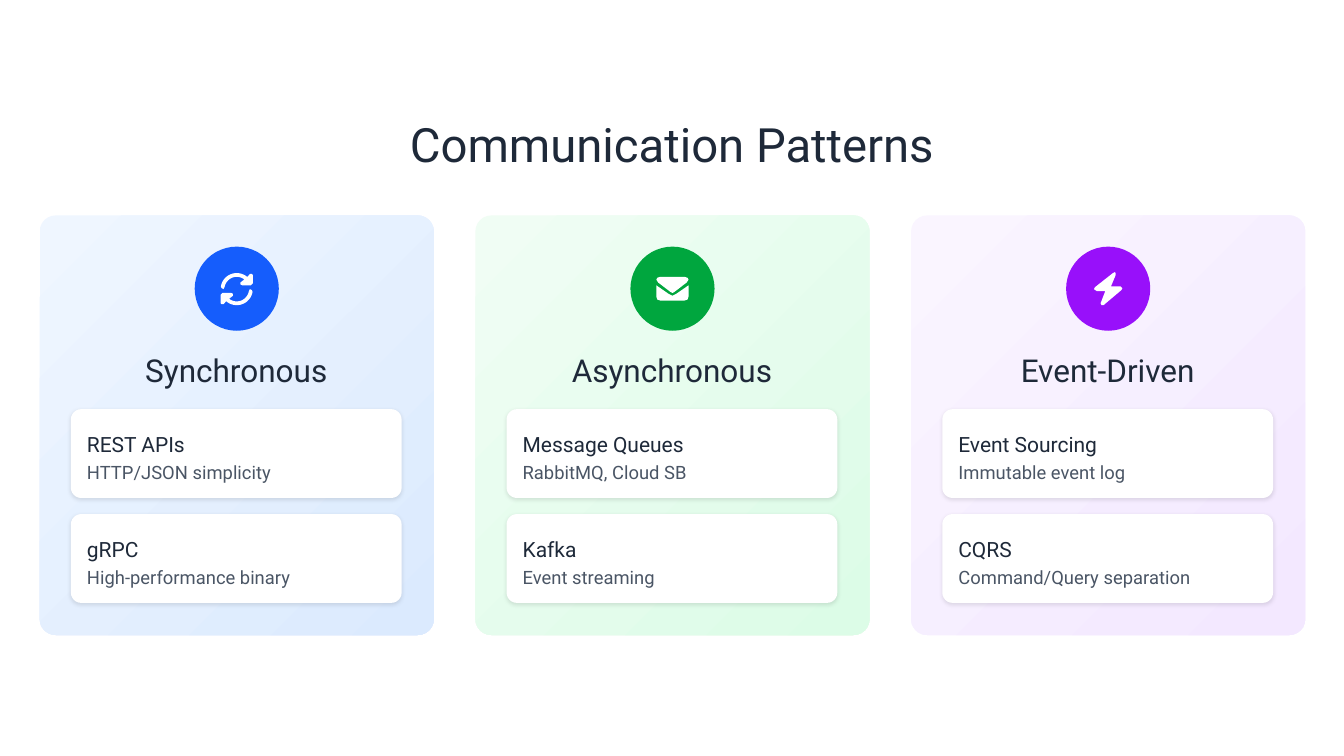
from dataclasses import dataclass
from math import cos, radians, sin

from lxml.etree import SubElement
from pptx import Presentation
from pptx.dml.color import RGBColor
from pptx.enum.shapes import MSO_SHAPE
from pptx.enum.text import MSO_ANCHOR, PP_ALIGN
from pptx.oxml.ns import qn
from pptx.util import Inches, Pt


@dataclass(frozen=True)
class Theme:
    font: str = "Roboto"
    ink: str = "1E2939"
    muted: str = "4A5565"
    white: str = "FFFFFF"
    shadow: str = "000000"
    title_size: int = 36
    heading_size: int = 24
    name_size: int = 16
    detail_size: int = 14


class PatternSlide:
    """Draws styled elements on the current slide."""

    def __init__(self, slide, theme):
        self.slide = slide
        self.theme = theme

    def text(self, words, left, top, width, height, size, color, spacing, align=PP_ALIGN.LEFT):
        box = self.slide.shapes.add_textbox(Inches(left), Inches(top), Inches(width), Inches(height))
        frame = box.text_frame
        frame.word_wrap = True
        frame.vertical_anchor = MSO_ANCHOR.MIDDLE
        frame.margin_left = frame.margin_right = frame.margin_top = frame.margin_bottom = 0
        paragraph = frame.paragraphs[0]
        paragraph.text = words
        paragraph.alignment = align
        paragraph.line_spacing = spacing
        paragraph.font.name = self.theme.font
        paragraph.font.size = Pt(size)
        paragraph.font.color.rgb = RGBColor.from_string(color)

    def finish(self, shape, color):
        shape.fill.solid()
        shape.fill.fore_color.rgb = RGBColor.from_string(color)
        shape.line.fill.background()
        shape.shadow.inherit = False

    def shape(self, kind, left, top, width, height, color, radius=None):
        shape = self.slide.shapes.add_shape(kind, Inches(left), Inches(top), Inches(width), Inches(height))
        if radius:
            shape.adjustments[0] = radius / min(width, height)
        self.finish(shape, color)
        return shape

    def panel(self, left, top, width, height, colors):
        panel = self.shape(MSO_SHAPE.ROUNDED_RECTANGLE, left, top, width, height, colors[0], 0.17)
        panel.fill.gradient()
        panel.fill.gradient_angle = 315
        for stop, color in zip(panel.fill.gradient_stops, colors):
            stop.color.rgb = RGBColor.from_string(color)

    def card(self, left, top, name, detail):
        theme = self.theme
        card = self.shape(MSO_SHAPE.ROUNDED_RECTANGLE, left, top, 3.5, 0.94, theme.white, 0.11)
        effects = card._element.spPr.find(qn("a:effectLst"))
        shadow = SubElement(effects, qn("a:outerShdw"), blurRad=str(Pt(3)), dist=str(Pt(1)),
                            dir="5400000", algn="ctr", rotWithShape="0")
        color = SubElement(shadow, qn("a:srgbClr"), val=theme.shadow)
        SubElement(color, qn("a:alpha"), val="10000")
        self.text(name, left + 0.17, top + 0.17, 3.72, 0.33, theme.name_size, theme.ink, 1.3)
        self.text(detail, left + 0.17, top + 0.5, 3.72, 0.28, theme.detail_size, theme.muted, 1.2)

    def icon(self, center_x, center_y, contours):
        placed = [[(Inches(center_x + x), Inches(center_y + y)) for x, y in contour]
                  for contour in contours]
        builder = self.slide.shapes.build_freeform(*placed[0][0])
        for contour in placed:
            builder.move_to(*contour[0])
            builder.add_line_segments(contour[1:], close=True)
        self.finish(builder.convert_to_shape(), self.theme.white)


def arc(radius, start, end, steps=16):
    angles = [radians(start + (end - start) * step / steps) for step in range(steps + 1)]
    return [(radius * cos(angle), radius * sin(angle)) for angle in angles]


def mirrored(half):
    return half + [(-x, y) for x, y in reversed(half) if x]


def refresh_icon():
    arrow = [(0.14, -0.16), (0.16, -0.16), (0.17, -0.15), (0.17, -0.06), (0.15, -0.04),
             (0.06, -0.04), (0.04, -0.05), (0.04, -0.07)]
    upper = arc(0.17, 190, 311) + arrow + arc(0.13, 308, 190) + [(-0.14, 0), (-0.16, -0.01)]
    return [upper, [(-x, -y) for x, y in upper]]


def envelope_icon():
    flap = [(0, 0.04), (0.02, 0.03), (0.15, -0.07), (0.17, -0.1), (0.16, -0.12), (0.13, -0.13)]
    body = [(0, 0.07), (0.04, 0.05), (0.17, -0.04), (0.17, 0.08), (0.16, 0.11), (0.13, 0.12)]
    return [mirrored(flap), mirrored(body)]


def bolt_icon():
    return [[(0.07, -0.18), (0.08, -0.17), (0.08, -0.15), (0.03, -0.03), (0.13, -0.03),
             (0.15, -0.01), (0.14, 0.01), (-0.05, 0.17), (-0.07, 0.17), (-0.08, 0.15),
             (-0.03, 0.02), (-0.12, 0.02), (-0.15, 0), (-0.14, -0.02), (0.05, -0.17)]]


PATTERNS = [
    ("Synchronous", ("EFF6FF", "DBEAFE"), "155DFC", refresh_icon(),
     [("REST APIs", "HTTP/JSON simplicity"), ("gRPC", "High-performance binary")]),
    ("Asynchronous", ("F0FDF4", "DCFCE7"), "00A63E", envelope_icon(),
     [("Message Queues", "RabbitMQ, Cloud SB"), ("Kafka", "Event streaming")]),
    ("Event-Driven", ("FAF5FF", "F3E8FF"), "9810FA", bolt_icon(),
     [("Event Sourcing", "Immutable event log"), ("CQRS", "Command/Query separation")]),
]


def main():
    presentation = Presentation()
    presentation.slide_width = Inches(14.22)
    presentation.slide_height = Inches(8)
    theme = Theme()
    page = PatternSlide(presentation.slides.add_slide(presentation.slide_layouts[6]), theme)
    page.text("Communication Patterns", 0.14, 1.28, 13.94, 0.56,
              theme.title_size, theme.ink, 0.9, PP_ALIGN.CENTER)
    for column, (heading, tints, accent, contours, cards) in enumerate(PATTERNS):
        left = 0.42 + 4.61 * column
        center = left + 4.17 / 2
        page.panel(left, 2.28, 4.17, 4.44, tints)
        page.shape(MSO_SHAPE.OVAL, center - 0.445, 2.61, 0.89, 0.89, accent)
        page.icon(center, 3.06, contours)
        page.text(heading, left + 0.05, 3.67, 4.06, 0.44,
                  theme.heading_size, theme.ink, 1.1, PP_ALIGN.CENTER)
        for row, (name, detail) in enumerate(cards):
            page.card(left + 0.33, 4.33 + 1.11 * row, name, detail)
    presentation.save("out.pptx")


if __name__ == "__main__":
    main()
